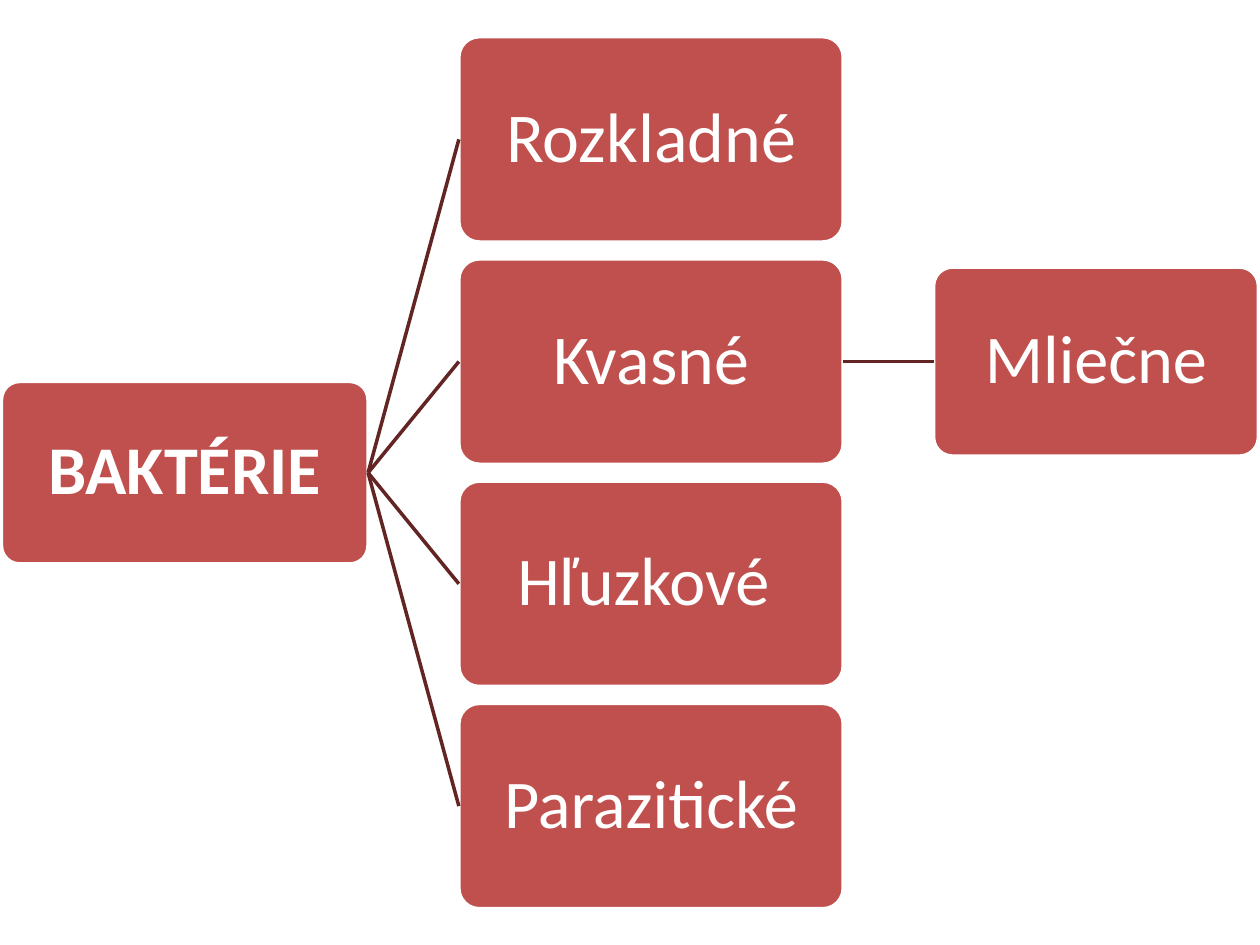
from pptx import Presentation
from pptx.dml.color import RGBColor
from pptx.enum.shapes import MSO_CONNECTOR, MSO_SHAPE
from pptx.enum.text import MSO_ANCHOR, PP_ALIGN
from pptx.oxml.ns import qn
from pptx.util import Cm, Pt
from lxml import etree

COLORS = {"box": "C0504D", "edge": "FFFFFF", "text": "FFFFFF", "link": "632523"}


def add_node(label, left, middle, width, height, size, bold=False):
    node = slide.shapes.add_shape(
        MSO_SHAPE.ROUNDED_RECTANGLE,
        Cm(left), Cm(middle - height / 2), Cm(width), Cm(height))
    node.adjustments[0] = 0.1
    node.shadow.inherit = False
    node.fill.solid()
    node.fill.fore_color.rgb = RGBColor.from_string(COLORS["box"])
    node.line.color.rgb = RGBColor.from_string(COLORS["edge"])
    node.line.width = Pt(2)
    frame = node.text_frame
    frame.text = label
    frame.word_wrap = True
    frame.vertical_anchor = MSO_ANCHOR.MIDDLE
    frame.margin_left = frame.margin_right = Cm(0.07)
    frame.margin_top = frame.margin_bottom = Cm(0.07)
    paragraph = frame.paragraphs[0]
    paragraph.alignment = PP_ALIGN.CENTER
    paragraph.line_spacing = 0.9
    font = paragraph.runs[0].font
    font.name = "Calibri"
    font.size = Pt(size)
    font.bold = bold
    font.color.rgb = RGBColor.from_string(COLORS["text"])
    return node


def add_link(parent, child):
    link = slide.shapes.add_connector(MSO_CONNECTOR.STRAIGHT, 0, 0, 0, 0)
    link.begin_connect(parent, 3)
    link.end_connect(child, 1)
    link.line.color.rgb = RGBColor.from_string(COLORS["link"])
    link.line.width = Pt(2)
    etree.SubElement(link._element.spPr, qn("a:effectLst"))


prs = Presentation()
prs.slide_width = Cm(25.4)
prs.slide_height = Cm(19.05)
slide = prs.slides.add_slide(prs.slide_layouts[6])

center = 9.53
pitch = 4.48
groups = [("Rozkladné", 40), ("Kvasné", 40), ("Hľuzkové ", 39), ("Parazitické", 39)]

bacteria = add_node("BAKTÉRIE", 0.03, center, 7.39, 3.68, 39, bold=True)
for index, (label, size) in enumerate(groups):
    middle = center + (index - (len(groups) - 1) / 2) * pitch
    group = add_node(label, 9.25, middle, 7.75, 4.14, size)
    add_link(bacteria, group)
    if label == "Kvasné":
        lactic = add_node("Mliečne", 18.82, middle, 6.55, 3.81, 39)
        add_link(group, lactic)

prs.save("out.pptx")
